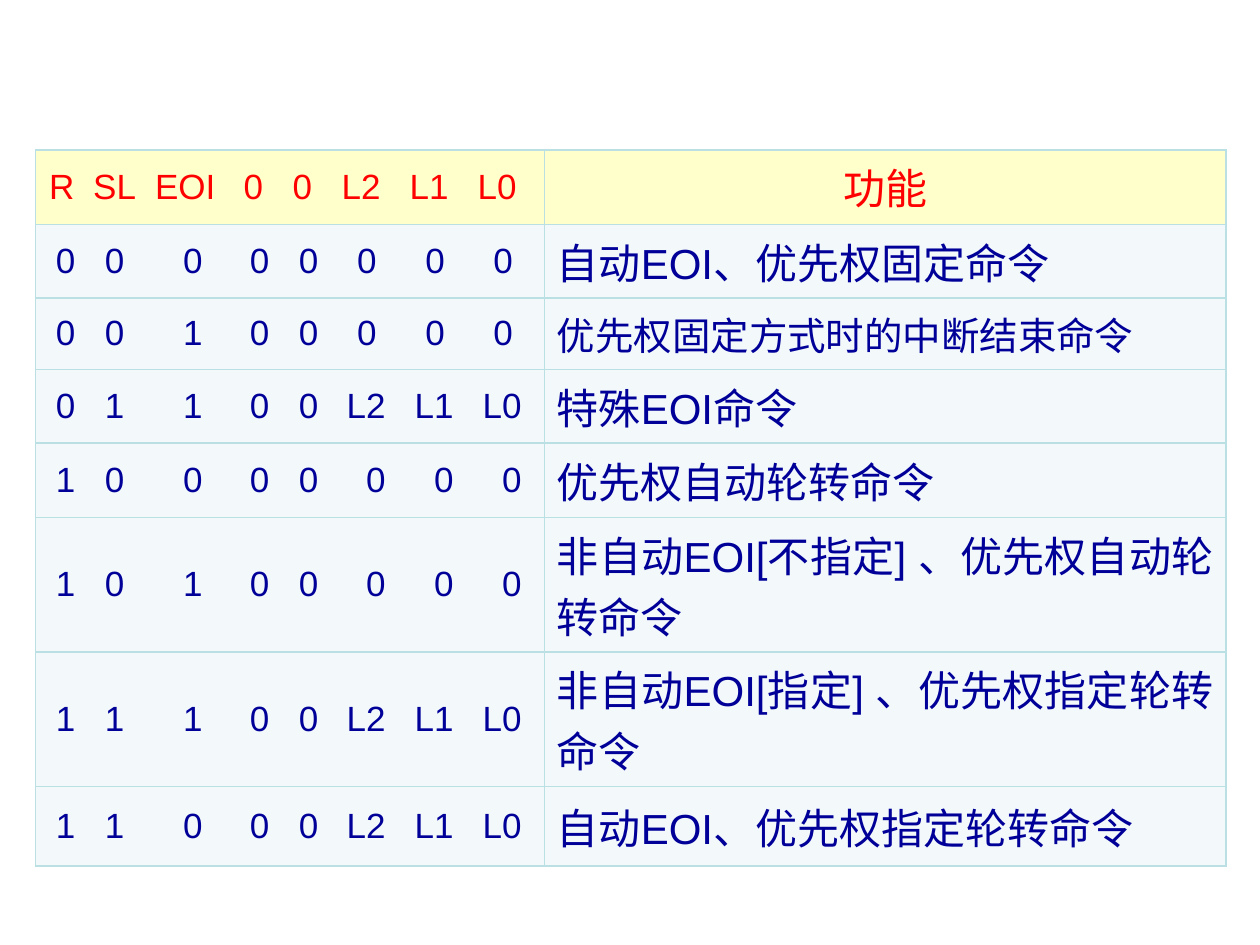
import pptx
import pptx.dml.color
import pptx.enum.text
import pptx.oxml
import pptx.oxml.ns
import pptx.util

COLORS = {
    "header_fill": "FFFFCC",
    "header_text": "FF0000",
    "body_fill": "F3F9FA",
    "body_text": "000099",
    "border": "BBE0E3",
}
FONT = "Arial"
SLIDE_SIZE = (10, 7.5)
TABLE_LEFT, TABLE_TOP = 0.28, 1.19
COLUMN_WIDTHS = [4.04, 5.41]
ROW_HEIGHTS = [0.59, 0.58, 0.57, 0.58, 0.59, 0.86, 0.86, 0.63]

# Tab stops in inches: centres of the first five bits, right edges of the level bits
HEADER_CENTERS = [0.11, 0.53, 1.09, 1.63, 2.02]
BODY_CENTERS = [0.14, 0.53, 1.15, 1.68, 2.07]
LEVEL_STEP = 0.54
HEADER_EDGE, NEAR_EDGE, FAR_EDGE = 2.64, 2.61, 2.68

HEADER = ("R SL EOI 0 0 L2 L1 L0", "功能")
# Bits, first level edge, function, text size, function centred vertically
COMMANDS = [
    ("0 0 0 0 0 0 0 0", NEAR_EDGE, "自动EOI、优先权固定命令", 24, False),
    ("0 0 1 0 0 0 0 0", NEAR_EDGE, "优先权固定方式时的中断结束命令", 22, True),
    ("0 1 1 0 0 L2 L1 L0", FAR_EDGE, "特殊EOI命令", 24, False),
    ("1 0 0 0 0 0 0 0", FAR_EDGE, "优先权自动轮转命令", 24, True),
    ("1 0 1 0 0 0 0 0", FAR_EDGE, "非自动EOI[不指定] 、优先权自动轮转命令", 24, False),
    ("1 1 1 0 0 L2 L1 L0", FAR_EDGE, "非自动EOI[指定] 、优先权指定轮转命令", 24, False),
    ("1 1 0 0 0 L2 L1 L0", FAR_EDGE, "自动EOI、优先权指定轮转命令", 24, True),
]

ALIGN = pptx.enum.text.PP_ALIGN
ANCHOR = pptx.enum.text.MSO_ANCHOR


def add_borders(cell):
    """Draw a thin line on all four sides of a cell."""
    properties = cell._tc.get_or_add_tcPr()
    for index, side in enumerate(("lnL", "lnR", "lnT", "lnB")):
        line = pptx.oxml.parse_xml(
            f'<a:{side} {pptx.oxml.ns.nsdecls("a")} w="{pptx.util.Pt(1)}"><a:solidFill>'
            f'<a:srgbClr val="{COLORS["border"]}"/></a:solidFill></a:{side}>'
        )
        properties.insert(index, line)


def add_tab_stops(paragraph, centers, level_edge):
    """Give a paragraph one tab stop for each bit."""
    edges = [level_edge + LEVEL_STEP * index for index in range(3)]
    stops = [(center, "ctr") for center in centers] + [(edge, "r") for edge in edges]
    tabs = "".join(
        f'<a:tab pos="{pptx.util.Inches(position)}" algn="{kind}"/>'
        for position, kind in stops
    )
    paragraph._p.get_or_add_pPr().append(
        pptx.oxml.parse_xml(f'<a:tabLst {pptx.oxml.ns.nsdecls("a")}>{tabs}</a:tabLst>')
    )


def fill_cell(cell, text, kind, size, align, centred):
    """Write a cell and return its paragraph."""
    cell.fill.solid()
    cell.fill.fore_color.rgb = pptx.dml.color.RGBColor.from_string(COLORS[kind + "_fill"])
    add_borders(cell)
    cell.vertical_anchor = ANCHOR.MIDDLE if centred else ANCHOR.TOP
    cell.text_frame.text = text
    paragraph = cell.text_frame.paragraphs[0]
    paragraph.alignment = align
    for run in paragraph.runs:
        run.font.name = FONT
        run.font.size = pptx.util.Pt(size)
        run.font.color.rgb = pptx.dml.color.RGBColor.from_string(COLORS[kind + "_text"])
    return paragraph


def fill_bits(cell, bits, kind, centers, level_edge):
    """Write the bits of a command word, each at its own tab stop."""
    text = "".join("\t" + bit for bit in bits.split())
    paragraph = fill_cell(cell, text, kind, 20, ALIGN.LEFT, True)
    add_tab_stops(paragraph, centers, level_edge)


def add_command_table(slide):
    """Add the empty table with its column and row sizes."""
    shape = slide.shapes.add_table(
        len(ROW_HEIGHTS), len(COLUMN_WIDTHS),
        pptx.util.Inches(TABLE_LEFT), pptx.util.Inches(TABLE_TOP),
        pptx.util.Inches(sum(COLUMN_WIDTHS)), pptx.util.Inches(sum(ROW_HEIGHTS)),
    )
    table = shape.table
    for column, width in zip(table.columns, COLUMN_WIDTHS):
        column.width = pptx.util.Inches(width)
    for row, height in zip(table.rows, ROW_HEIGHTS):
        row.height = pptx.util.Inches(height)
    return table


def main():
    presentation = pptx.Presentation()
    presentation.slide_width, presentation.slide_height = map(pptx.util.Inches, SLIDE_SIZE)
    slide = presentation.slides.add_slide(presentation.slide_layouts[6])
    table = add_command_table(slide)

    # Header row
    fill_bits(table.cell(0, 0), HEADER[0], "header", HEADER_CENTERS, HEADER_EDGE)
    fill_cell(table.cell(0, 1), HEADER[1], "header", 24, ALIGN.CENTER, False)

    # Command rows
    for row, (bits, level_edge, function, size, centred) in enumerate(COMMANDS, start=1):
        fill_bits(table.cell(row, 0), bits, "body", BODY_CENTERS, level_edge)
        fill_cell(table.cell(row, 1), function, "body", size, ALIGN.JUSTIFY, centred)

    presentation.save("out.pptx")


if __name__ == "__main__":
    main()
